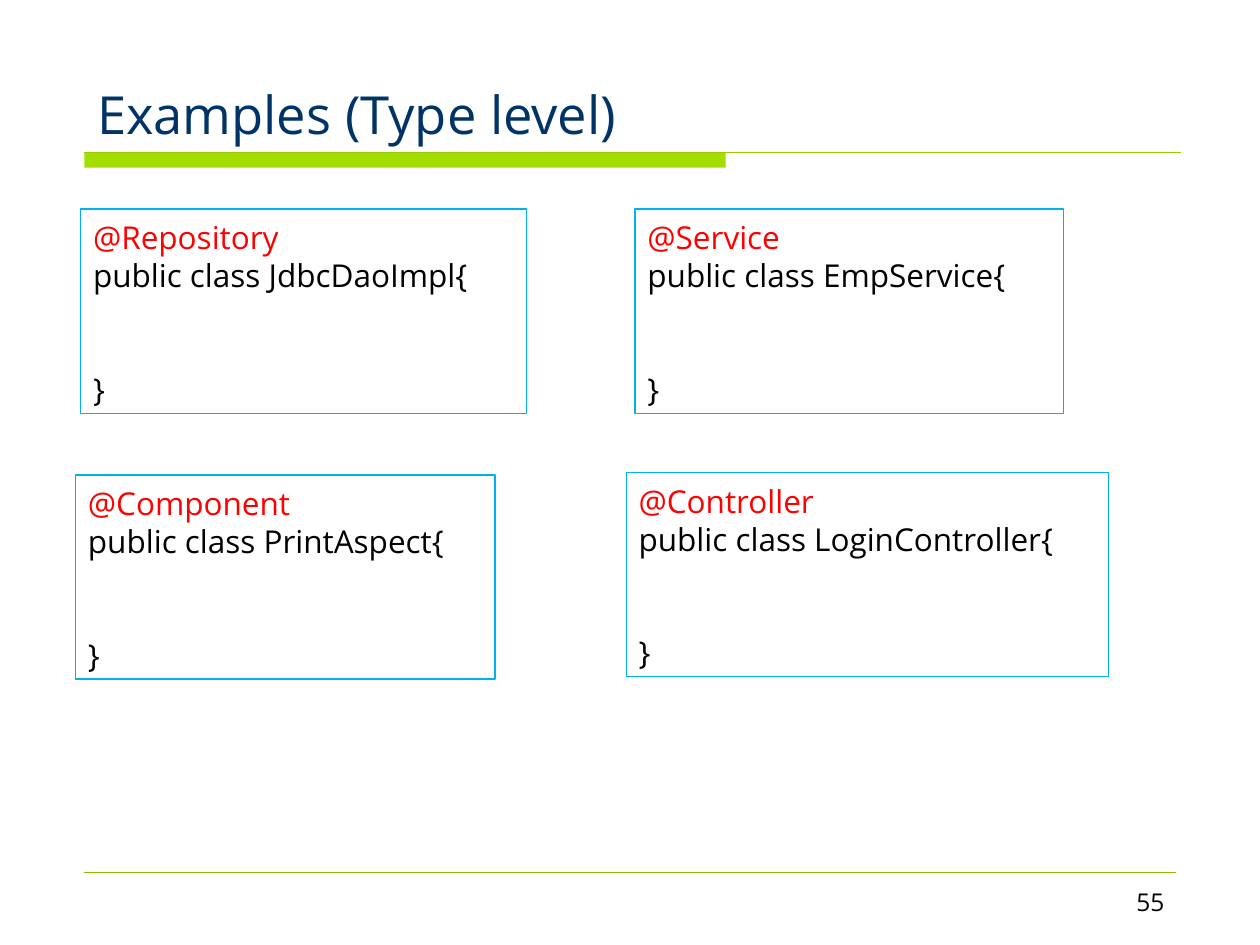
import pptx
import pptx.util
import pptx.dml.color
import pptx.enum.shapes
import pptx.enum.text
import pptx.oxml

Inches, Pt = pptx.util.Inches, pptx.util.Pt
FONT = "Open Sans"
LINE_PITCH = 21.7  # points between code lines


def rgb(value):
    return pptx.dml.color.RGBColor.from_string(value)


def set_font(p, size, color):
    p.font.name = FONT
    p.font.size = Pt(size)
    p.font.color.rgb = rgb(color)


def add_rule(slide, left, top, width, color, weight):
    line = slide.shapes.add_connector(
        pptx.enum.shapes.MSO_CONNECTOR.STRAIGHT,
        Inches(left), Inches(top), Inches(left + width), Inches(top))
    line.line.color.rgb = rgb(color)
    line.line.width = Pt(weight)
    line._element.spPr.append(pptx.oxml.parse_xml(
        '<a:effectLst xmlns:a="http://schemas.openxmlformats.org/drawingml/2006/main"/>'))


def add_box(slide, left, top, width, height):
    sp = slide.shapes.add_shape(
        pptx.enum.shapes.MSO_SHAPE.RECTANGLE,
        Inches(left), Inches(top), Inches(width), Inches(height))
    sp.shadow.inherit = False
    return sp


def add_header(slide, text, left, top, width, height):
    # Accent bar under the title, with a thin rule across the slide
    bar = add_box(slide, left, top + height + 0.04, 5.09, 0.12)
    bar.fill.solid()
    bar.fill.fore_color.rgb = rgb("A4DE00")
    bar.line.fill.background()
    add_rule(slide, left, top + height + 0.04, 8.7, "99CC00", 0.75)

    # Title
    title = slide.shapes.title
    title.left, title.top = Inches(left), Inches(top)
    title.width, title.height = Inches(width), Inches(height)
    tf = title.text_frame
    tf.text = text
    tf.word_wrap = True
    tf.vertical_anchor = pptx.enum.text.MSO_ANCHOR.BOTTOM
    tf.margin_bottom = Inches(0.02)
    p = tf.paragraphs[0]
    p.alignment = pptx.enum.text.PP_ALIGN.LEFT
    set_font(p, 30, "003366")


def add_code_box(slide, annotation, class_name, left, top, width, height=1.62):
    sp = add_box(slide, left, top, width, height)
    sp.fill.background()
    sp.line.color.rgb = rgb("00B0F0")
    sp.line.width = Pt(0.75)
    tf = sp.text_frame
    tf.word_wrap = False
    tf.margin_top = Inches(0.07)
    tf.vertical_anchor = pptx.enum.text.MSO_ANCHOR.TOP
    tf.text = f"{annotation}\npublic class {class_name}{{\n}}"
    for p, color in zip(tf.paragraphs, ("FF0000", "000000", "000000")):
        p.alignment = pptx.enum.text.PP_ALIGN.LEFT
        p.line_spacing = Pt(LINE_PITCH)
        set_font(p, 18, color)
    # Room for the class body
    tf.paragraphs[-1].space_before = Pt(2 * LINE_PITCH)


def add_footer(slide, number, left, top, width):
    add_rule(slide, left, top, width, "8BBC00", 0.25)
    box = slide.shapes.add_textbox(
        Inches(left + width - 2.16), Inches(top + 0.08), Inches(2.17), Inches(0.34))
    tf = box.text_frame
    tf.word_wrap = True
    tf.margin_top = Inches(0.04)
    tf.text = number
    p = tf.paragraphs[0]
    p.alignment = pptx.enum.text.PP_ALIGN.RIGHT
    set_font(p, 14, "000000")


prs = pptx.Presentation()
prs.slide_width, prs.slide_height = Inches(10), Inches(7.5)
slide = prs.slides.add_slide(prs.slide_layouts[5])

add_header(slide, "Examples (Type level)", 0.67, 0.17, 8.75, 1)
for example in (
    ("@Repository", "JdbcDaoImpl", 0.64, 1.66, 3.54),
    ("@Service", "EmpService", 5.04, 1.66, 3.4),
    ("@Component", "PrintAspect", 0.6, 3.77, 3.33),
    ("@Controller", "LoginController", 4.97, 3.75, 3.83),
):
    add_code_box(slide, *example)
add_footer(slide, "55", 0.67, 6.92, 8.66)

prs.save("out.pptx")
